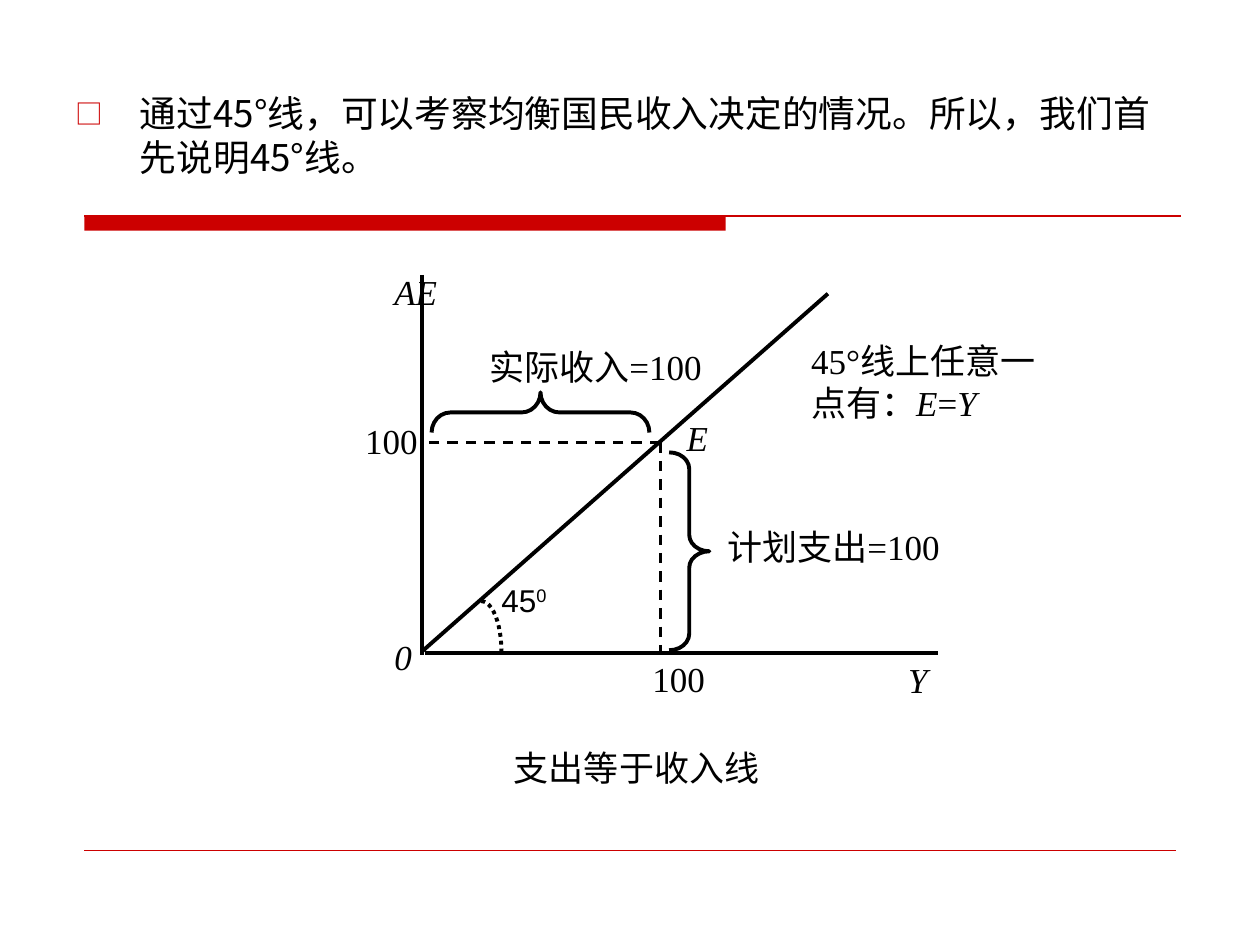
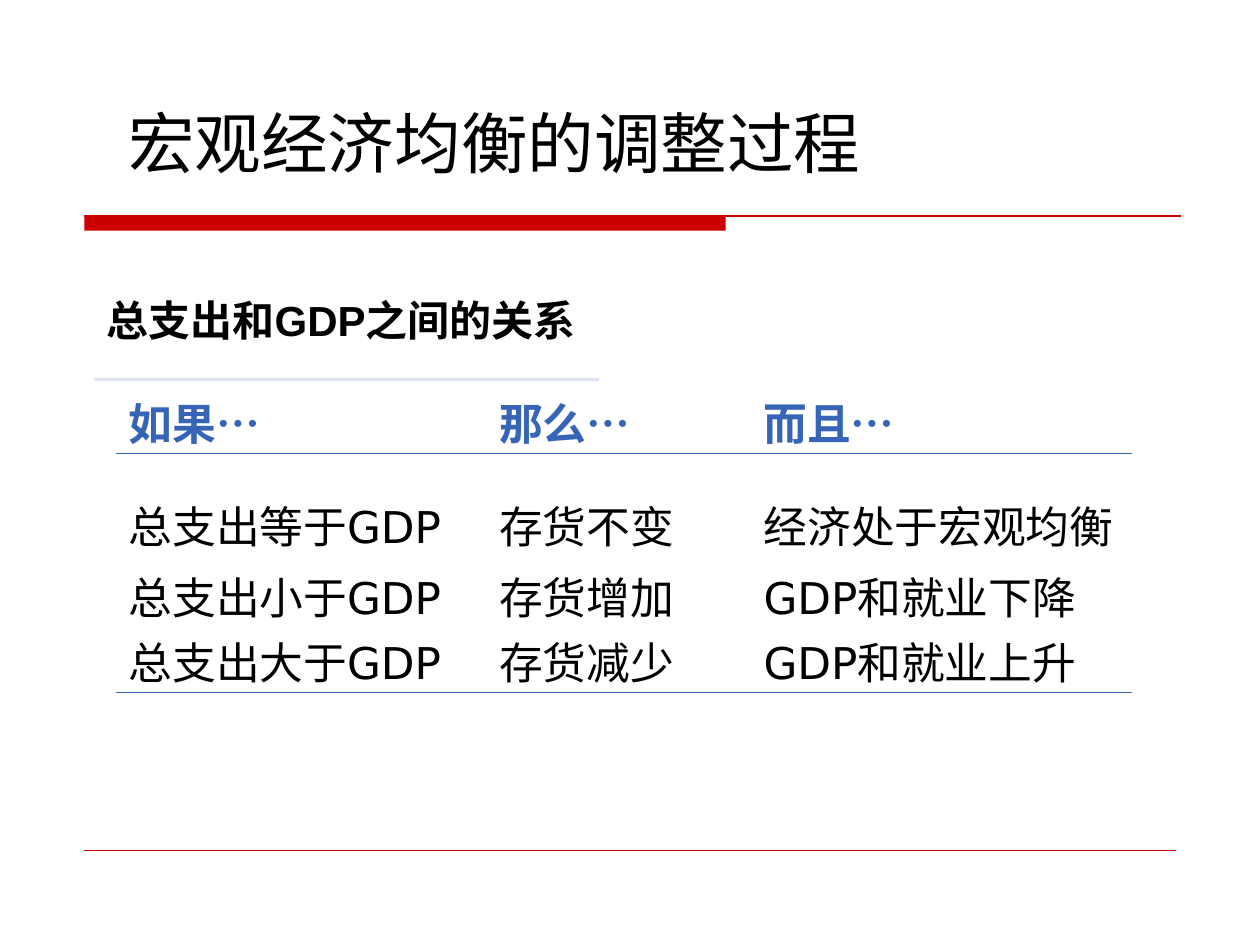
from lxml import etree
from pptx import Presentation
from pptx.dml.color import RGBColor
from pptx.enum.dml import MSO_LINE
from pptx.enum.shapes import MSO_CONNECTOR, MSO_SHAPE
from pptx.enum.text import MSO_ANCHOR, MSO_AUTO_SIZE
from pptx.oxml import parse_xml
from pptx.oxml.ns import nsdecls, qn
from pptx.util import Cm, Pt

COLORS = {"red": "CC0000", "black": "000000", "blue": "3664B6", "pale": "DFE2F1"}
CJK = "Noto Sans CJK SC"
TIMES = {"name": "Times New Roman", "size": Pt(20)}
ITALIC = {**TIMES, "italic": True}
ARIAL = {"name": "Arial", "size": Pt(18)}


def add_runs(p, runs, color="black"):
    """Add (text, format) runs; 'baseline' is a raw attribute, the rest are font attributes."""
    for text, fmt in runs:
        r = p.add_run()
        r.text = text
        r.font.color.rgb = RGBColor.from_string(COLORS[color])
        for key, value in fmt.items():
            if key == "baseline":
                r.font._element.set(key, value)
            else:
                setattr(r.font, key, value)
        etree.SubElement(r.font._element, qn("a:ea")).set("typeface", CJK)


def add_line(s, x1, y1, x2, y2, color, width, dash=None):
    ln = s.shapes.add_connector(MSO_CONNECTOR.STRAIGHT, Cm(x1), Cm(y1), Cm(x2), Cm(y2))
    ln.line.color.rgb = RGBColor.from_string(COLORS[color])
    ln.line.width = Pt(width)
    if dash:
        ln.line.dash_style = dash
    etree.SubElement(ln._element.spPr, qn("a:effectLst"))


prs = Presentation()
prs.slide_width, prs.slide_height = Cm(25.4), Cm(19.05)

# Shared band under the heading and footer rule
for _ in range(2):
    s = prs.slides.add_slide(prs.slide_layouts[6])
    sp = s.shapes.add_shape(MSO_SHAPE.RECTANGLE, Cm(1.7), Cm(4.34), Cm(12.93), Cm(0.31))
    sp.shadow.inherit = False
    sp.fill.solid()
    sp.fill.fore_color.rgb = RGBColor.from_string(COLORS["red"])
    sp.line.fill.background()
    add_line(s, 1.7, 4.35, 23.8, 4.35, "red", 1)
    add_line(s, 1.7, 17.15, 23.7, 17.15, "red", 0.25)
diagram, process = prs.slides

# Slide 1: bulleted introduction
s = diagram
tf = s.shapes.add_textbox(Cm(1.27), Cm(1.7), Cm(22.66), Cm(2.59)).text_frame
tf.word_wrap = True
p = tf.paragraphs[0]
pPr = p._p.get_or_add_pPr()
pPr.set("marL", str(Cm(1.3)))
pPr.set("indent", str(-Cm(1.3)))
for xml in (f'<a:buClr {nsdecls("a")}><a:srgbClr val="{COLORS["red"]}"/></a:buClr>',
            f'<a:buSzPct {nsdecls("a")} val="75000"/>',
            f'<a:buFont {nsdecls("a")} typeface="{CJK}"/>',
            f'<a:buChar {nsdecls("a")} char="□"/>'):
    pPr.append(parse_xml(xml))
add_runs(p, [("通过45°线，可以考察均衡国民收入决定的情况。所以，我们首先说明45°线。",
              {"name": CJK, "size": Pt(21)})])

# Axes, 45° line and dashed guides to the equilibrium point
origin_x, axis_y, point_x, point_y = 8.51, 13.16, 13.31, 8.92
add_line(s, origin_x, 13.13, 16.69, 5.92, "black", 2.25)
add_line(s, origin_x, 5.54, origin_x, 13.21, "black", 2.25)
add_line(s, 8.56, axis_y, 18.9, axis_y, "black", 2.25)
add_line(s, point_x, point_y, point_x, axis_y, "black", 1.5, MSO_LINE.DASH)
add_line(s, point_x, point_y, origin_x, point_y, "black", 1.5, MSO_LINE.DASH)

# Angle arc and braces
for kind, x, y, h, rotation, curve in [
    (MSO_SHAPE.ARC, 9.3, 12.12, 2.03, 0, None),
    (MSO_SHAPE.RIGHT_BRACE, 13.49, 9.12, 3.99, 0, 0.41),
    (MSO_SHAPE.LEFT_BRACE, 10.49, 6.12, 4.39, 90, 0.47),
]:
    sp = s.shapes.add_shape(kind, Cm(x), Cm(y), Cm(0.81), Cm(h))
    sp.shadow.inherit = False
    sp.fill.background()
    sp.line.color.rgb = RGBColor.from_string(COLORS["black"])
    sp.line.width = Pt(2.25)
    sp.rotation = rotation
    if curve:
        sp.adjustments[0] = curve
    else:
        sp.line.dash_style = MSO_LINE.ROUND_DOT

# Diagram labels
for x, y, w, h, wrap, runs in [
    (7.7, 5.33, 1.4, 1.12, False, [("AE", ITALIC)]),
    (7.7, 12.69, 0.9, 1.12, False, [("0", ITALIC)]),
    (18.06, 13.16, 0.9, 1.12, False, [("Y", ITALIC)]),
    (10.11, 14.92, 5.5, 1.12, False, [("支出等于收入线", TIMES)]),
    (16.1, 6.71, 5.54, 1.96, True,
     [("45°线上任意一点有：", TIMES), ("E", ITALIC), ("=", TIMES), ("Y", ITALIC)]),
    (9.86, 11.58, 1.5, 1.02, False, [("45", ARIAL), ("0", {**ARIAL, "baseline": "30000"})]),
    (12.9, 13.13, 1.8, 1.12, False, [("100", TIMES)]),
    (7.11, 8.33, 1.8, 1.12, False, [("100", TIMES)]),
    (14.41, 10.46, 5.4, 1.12, False, [("计划支出=100", TIMES)]),
    (9.61, 6.84, 5.4, 1.12, False, [("实际收入=100", TIMES)]),
    (13.59, 8.28, 0.94, 1.12, False, [("E", ITALIC)]),
]:
    tf = s.shapes.add_textbox(Cm(x), Cm(y), Cm(w), Cm(h)).text_frame
    tf.word_wrap = wrap
    tf.auto_size = MSO_AUTO_SIZE.NONE
    add_runs(tf.paragraphs[0], runs)

# Slide 2: title and subheading
s = process
for x, y, w, h, anchor, spacing, text, fmt in [
    (2.34, 1.02, 21.3, 3.68, MSO_ANCHOR.MIDDLE, 1.0, "宏观经济均衡的调整过程",
     {"name": CJK, "size": Pt(38)}),
    (1.9, 5.3, 10.95, 1.78, MSO_ANCHOR.TOP, 1.5, "总支出和GDP之间的关系",
     {"name": "Arial", "size": Pt(24), "bold": True}),
]:
    tf = s.shapes.add_textbox(Cm(x), Cm(y), Cm(w), Cm(h)).text_frame
    tf.word_wrap = True
    tf.vertical_anchor = anchor
    tf.paragraphs[0].line_spacing = spacing
    add_runs(tf.paragraphs[0], [(text, fmt)])
add_line(s, 1.9, 7.65, 12.07, 7.65, "pale", 2)

# Table of spending against GDP
rows = [
    ["如果", "那么", "而且"],
    ["总支出等于GDP", "存货不变", "经济处于宏观均衡"],
    ["总支出小于GDP", "存货增加", "GDP和就业下降"],
    ["总支出大于GDP", "存货减少", "GDP和就业上升"],
]
ruled = {(0, "lnB"), (1, "lnT"), (3, "lnB")}
blue_fill = f'<a:solidFill><a:srgbClr val="{COLORS["blue"]}"/></a:solidFill><a:prstDash val="solid"/>'
frame = s.shapes.add_table(4, 3, Cm(2.34), Cm(7.82), Cm(20.47), Cm(6.14))
table = frame.table
table.first_row = table.horz_banding = False
table._tbl.tblPr.find(qn("a:tableStyleId")).text = "{2D5ABB26-0587-4C30-8999-92F81FD0307C}"
for column, w in zip(table.columns, (7.47, 5.33, 7.67)):
    column.width = Cm(w)
for i, texts in enumerate(rows):
    table.rows[i].height = Cm(2.18 if i == 1 else 1.32)
    for j, text in enumerate(texts):
        cell = table.cell(i, j)
        cell.fill.background()
        cell.vertical_anchor = MSO_ANCHOR.BOTTOM
        cell.margin_top = 0
        cell.margin_bottom = Cm(0.1 if i == 1 else 0)
        fmt = {"name": "DejaVu Sans", "size": Pt(25), "bold": i == 0}
        runs = [(text, fmt)]
        if i == 0:
            runs.append(("…", {**fmt, "name": "Arial"}))
        add_runs(cell.text_frame.paragraphs[0], runs, "blue" if i == 0 else "black")
        tcPr = cell._tc.get_or_add_tcPr()
        for k, side in enumerate(("lnL", "lnR", "lnT", "lnB")):
            fill = blue_fill if (i, side) in ruled else "<a:noFill/>"
            tcPr.insert(k, parse_xml(
                f'<a:{side} {nsdecls("a")} w="{Pt(1.08)}">{fill}</a:{side}>'))

prs.save("out.pptx")
